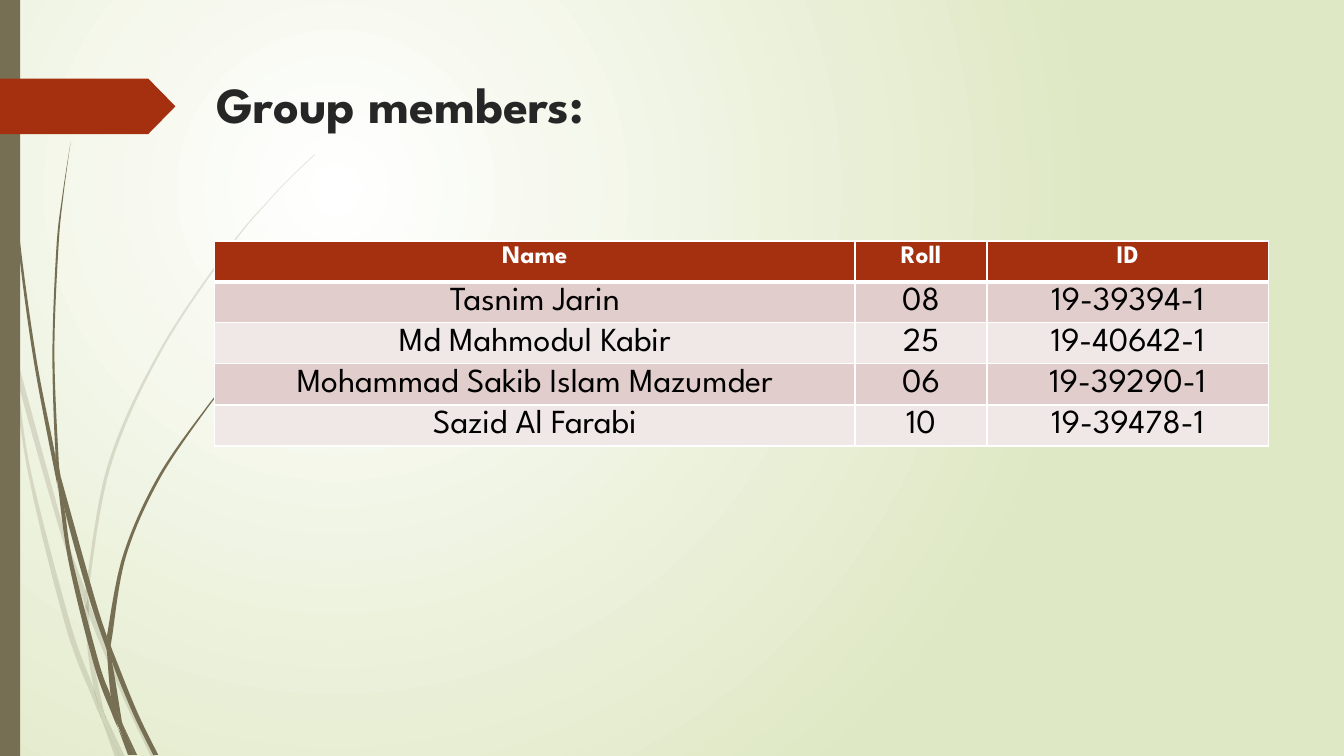
import pptx
import pptx.util
import pptx.dml.color
import pptx.enum.shapes
import pptx.enum.text
import pptx.oxml
import pptx.oxml.ns

Inches, Pt = pptx.util.Inches, pptx.util.Pt
RGB = pptx.dml.color.RGBColor
ALIGN = pptx.enum.text.PP_ALIGN
qn = pptx.oxml.ns.qn

WHITE, BLACK = RGB(255, 255, 255), RGB(0, 0, 0)
INK, RUST = RGB(0x26, 0x26, 0x26), RGB(0xA5, 0x30, 0x10)
OLIVE, LIME = RGB(0x76, 0x6F, 0x54), RGB(0xDF, 0xE8, 0xC4)
BANDS = [RGB(0xF0, 0xE8, 0xE7), RGB(0xE1, 0xCD, 0xCC)]
FACE = "League Spartan"

TITLE = "Group members:"
ROWS = [
    ("Name", "Roll", "ID"),
    ("Tasnim Jarin", "08", "19-39394-1"),
    ("Md Mahmodul Kabir", "25", "19-40642-1"),
    ("Mohammad Sakib Islam Mazumder", "06", "19-39290-1"),
    ("Sazid Al Farabi", "10", "19-39478-1"),
]
WIDTHS, TALL = [6.35, 1.31, 2.79], Pt(29.2)
TITLE_FONT = {"name": FACE, "size": Pt(36), "bold": True}
HEAD_FONT = {"name": FACE, "size": Pt(18), "bold": True}
BODY_FONT = {"name": FACE, "size": Pt(24), "bold": False}

# Each piece of grass: the points of one edge, then of the other.
PALE = [
    ([(0, 2.99), (0.1, 3.44), (0.11, 3.5)], [(0, 2.82), (0.09, 3.22), (0.11, 3.5)]),
    ([(0.14, 3.45), (0.17, 3.76), (0.58, 5.22), (0.84, 5.99)],
     [(0.14, 3.45), (0.62, 5.2), (0.85, 5.86)]),
    ([(0.88, 5.96), (0.88, 6.1), (1.23, 6.94), (1.5, 7.51)],
     [(0.88, 5.96), (0.92, 6.07), (1.27, 6.92), (1.55, 7.51)]),
    ([(1.05, 7.11), (1.19, 7.51)], [(1.05, 7.11), (1.24, 7.51)]),
    ([(0.11, 3.5), (0.28, 4.7), (0.65, 6.21), (0.92, 6.93), (1.01, 7.14)],
     [(0.11, 3.5), (0.17, 3.76), (0.31, 4.69), (0.7, 6.19), (0.93, 6.83),
      (0.99, 7.07), (1.01, 7.14)]),
    ([(0.84, 5.99), (0.87, 6.46), (0.93, 6.83), (0.96, 6.92), (1.05, 7.11)],
     [(0.84, 5.99), (0.88, 6.08), (0.91, 6.46), (1.03, 7.06), (1.05, 7.11)]),
    ([(3.12, 1.53), (2.89, 1.75), (2.68, 1.97), (2.28, 2.44), (1.58, 3.48),
      (1.07, 4.61), (0.85, 5.84), (0.85, 5.86)],
     [(3.12, 1.54), (2.9, 1.75), (2.68, 1.98), (2.29, 2.45), (1.6, 3.49),
      (1.1, 4.62), (0.88, 5.84), (0.88, 5.96)]),
    ([(1.01, 7.14), (1.14, 7.51)], [(1.01, 7.14), (1.19, 7.51)]),
    ([(0.85, 5.86), (0.84, 5.99), (0.88, 6.08)],
     [(0.85, 5.86), (0.88, 5.96), (0.88, 6.1)]),
    ([(0.93, 6.83), (0.99, 7.07), (1.01, 7.14), (1.19, 7.51)],
     [(0.93, 6.83), (0.96, 6.92), (1.05, 7.11), (1.19, 7.51)]),
]
DARK = [
    ([(0.03, 0), (0.04, 0.48), (0.07, 1.1), (0.17, 2.33), (0.33, 3.55),
      (0.56, 4.77), (0.57, 4.81)],
     [(0.04, 0), (0.05, 0.48), (0.08, 1.09), (0.19, 2.32), (0.36, 3.55),
      (0.55, 4.53), (0.57, 4.81)]),
    ([(0.6, 4.72), (0.64, 5.05), (0.88, 5.92), (1.06, 6.45)],
     [(0.6, 4.72), (0.93, 5.9), (1.06, 6.31)]),
    ([(1.1, 6.41), (1.11, 6.56), (1.32, 7.08), (1.52, 7.49)],
     [(1.1, 6.41), (1.13, 6.49), (1.36, 7.06), (1.57, 7.49)]),
    ([(0.57, 4.77), (0.68, 5.57), (0.93, 6.59), (1.11, 7.08), (1.17, 7.22)],
     [(0.57, 4.77), (0.64, 5.05), (0.72, 5.56), (0.98, 6.57), (1.1, 6.91),
      (1.16, 7.17), (1.17, 7.22)]),
    ([(0.7, 1.41), (0.62, 1.93), (0.56, 2.45), (0.52, 3.49), (0.55, 4.49),
      (0.6, 4.72)],
     [(0.7, 1.41), (0.63, 1.93), (0.58, 2.45), (0.54, 3.49), (0.58, 4.53),
      (0.6, 4.72)]),
    ([(1.22, 7.19), (1.33, 7.49)], [(1.22, 7.19), (1.36, 7.49)]),
    ([(0.55, 4.49), (0.55, 4.53), (0.57, 4.77), (0.64, 5.05)],
     [(0.55, 4.49), (0.6, 4.72), (0.64, 5.05)]),
    ([(2.6, 3.44), (2.45, 3.58), (2.31, 3.73), (2.04, 4.05), (1.56, 4.74),
      (1.22, 5.51), (1.06, 6.31)],
     [(2.61, 3.44), (2.45, 3.59), (2.31, 3.74), (2.05, 4.06), (1.58, 4.76),
      (1.25, 5.52), (1.11, 6.33), (1.1, 6.41)]),
    ([(1.17, 7.22), (1.27, 7.49)], [(1.17, 7.22), (1.31, 7.49)]),
    ([(1.06, 6.45), (1.1, 6.91), (1.16, 7.06), (1.22, 7.19)],
     [(1.06, 6.45), (1.11, 6.56), (1.21, 7.16), (1.22, 7.19)]),
    ([(1.06, 6.31), (1.06, 6.45), (1.11, 6.56)],
     [(1.06, 6.31), (1.1, 6.41), (1.11, 6.56)]),
    ([(1.1, 6.91), (1.16, 7.17), (1.3, 7.49)],
     [(1.1, 6.91), (1.16, 7.06), (1.22, 7.19), (1.33, 7.49)]),
]


def node(tag, **attrs):
    """Make one XML element in the drawing namespace."""
    item = pptx.oxml.parse_xml("<a:%s %s/>" % (tag, pptx.oxml.ns.nsdecls("a")))
    for key, val in attrs.items():
        item.set(key, str(val))
    return item


def paint(shape, color):
    """Give a shape a plain fill without line or shadow."""
    shape.shadow.inherit = False
    shape.fill.solid()
    shape.fill.fore_color.rgb = color
    shape.line.fill.background()


def style(para, color, fonts):
    """Set the font of a paragraph from a dict."""
    for key, val in fonts.items():
        setattr(para.font, key, val)
    para.font.color.rgb = color


def bend(edge):
    """Find the two control points of each smooth step along an edge."""
    ends = [edge[0]] + edge + [edge[-1]]
    return [([q + (r - p) / 6 for p, q, r in zip(a, b, c)],
             [r - (s - q) / 6 for q, r, s in zip(b, c, d)])
            for a, b, c, d in zip(ends, ends[1:], ends[2:], ends[3:])]


def blade(slide, left, right, alpha=None):
    """Draw one piece of grass between two smooth edges."""
    left, right = [[(Inches(x), Inches(y)) for x, y in edge]
                   for edge in (left, right[::-1])]
    pen = slide.shapes.build_freeform(*left[0])
    pen.add_line_segments(left[1:] + right, close=True)
    shape = pen.convert_to_shape()
    paint(shape, OLIVE)
    lines = list(shape._element.iter(qn("a:lnTo")))
    for line, pair in zip(lines, bend(left) + [None] + bend(right)):
        if pair:
            curve = node("cubicBezTo")
            for x, y in pair:
                curve.append(node("pt", x=round(x - shape.left),
                                  y=round(y - shape.top)))
            curve.append(line[0])
            line.getparent().replace(line, curve)
    if alpha:
        tint = shape._element.spPr.find(qn("a:solidFill"))[0]
        tint.append(node("alpha", val=alpha * 1000))


def glow(slide):
    """Fill the background with a round glow, white to lime."""
    fill = slide.background.fill
    fill.gradient()
    for stop, color in zip(fill.gradient_stops, (WHITE, LIME)):
        stop.color.rgb = color
    grad = next(slide._element.iter(qn("a:gradFill")))
    ring = node("path", path="circle")
    ring.append(node("fillToRect", l=50000, t=50000, r=100000, b=100000))
    grad.replace(grad.find(qn("a:lin")), ring)


def border(cell, top, base):
    """Draw white cell borders of the given upper and lower widths."""
    props = cell._tc.get_or_add_tcPr()
    sides = {"lnL": 1, "lnR": 1, "lnT": top, "lnB": base}
    for spot, (side, wide) in enumerate(sides.items()):
        line, fill = node(side, w=Pt(wide)), node("solidFill")
        fill.append(node("srgbClr", val=WHITE))
        line.append(fill)
        props.insert(spot, line)


def roster(slide):
    """Build the table of members."""
    grid = slide.shapes.add_table(
        len(ROWS), len(WIDTHS), Inches(2.13), Inches(2.39),
        Inches(sum(WIDTHS)), TALL * len(ROWS)).table
    for col, wide in zip(grid.columns, WIDTHS):
        col.width = Inches(wide)
    for r, row in enumerate(ROWS):
        grid.rows[r].height = TALL
        for c, text in enumerate(row):
            cell = grid.cell(r, c)
            cell.text = text
            cell.fill.solid()
            cell.fill.fore_color.rgb = BANDS[r % 2] if r else RUST
            para = cell.text_frame.paragraphs[0]
            para.alignment = ALIGN.CENTER
            style(para, BLACK if r else WHITE, BODY_FONT if r else HEAD_FONT)
            border(cell, 3 if r == 1 else 1, 1 if r else 3)


deck = pptx.Presentation()
deck.slide_width, deck.slide_height = Inches(13.33), Inches(7.5)
slide = deck.slides.add_slide(deck.slide_layouts[5])
glow(slide)
for pieces, alpha in ((PALE, 20), (DARK, None)):
    for left, right in pieces:
        blade(slide, left, right, alpha)

SHAPE = pptx.enum.shapes.MSO_SHAPE
bar = slide.shapes.add_shape(SHAPE.RECTANGLE, 0, 0, Inches(0.2), Inches(7.5))
paint(bar, OLIVE)
tag = slide.shapes.add_shape(
    SHAPE.PENTAGON, 0, Inches(0.78), Inches(1.74), Inches(0.55))
tag.adjustments[0] = 0.49
paint(tag, RUST)

title = slide.shapes.title
spot = {"left": 2.05, "top": 0.68, "width": 9.75, "height": 0.79}
for key, val in spot.items():
    setattr(title, key, Inches(val))
title.text_frame.text = TITLE
title.text_frame.vertical_anchor = pptx.enum.text.MSO_ANCHOR.TOP
head = title.text_frame.paragraphs[0]
head.alignment = ALIGN.LEFT
style(head, INK, TITLE_FONT)

roster(slide)
deck.save("out.pptx")
